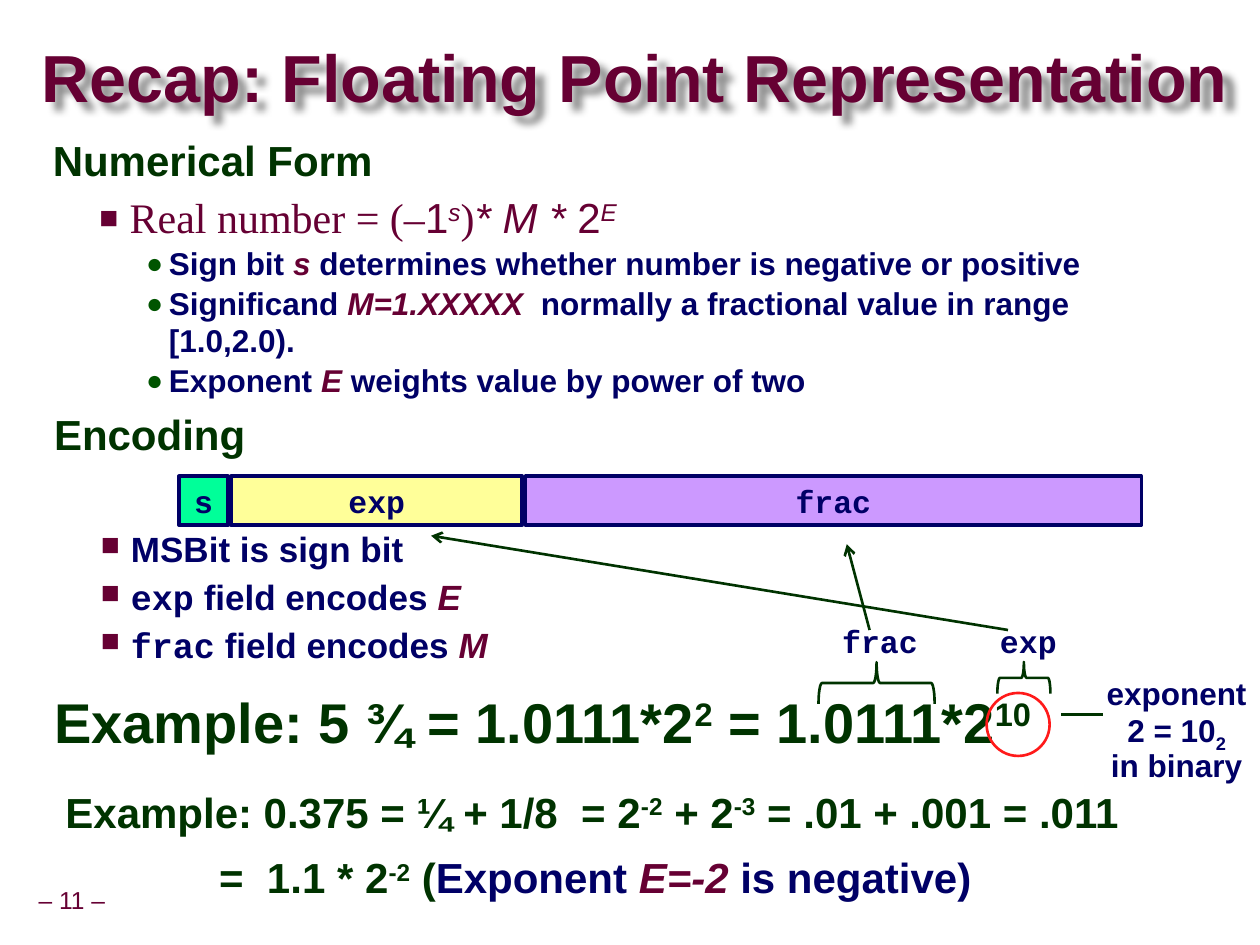
from dataclasses import dataclass
from typing import NamedTuple

from lxml.etree import SubElement
from pptx import Presentation
from pptx.dml.color import RGBColor
from pptx.enum.shapes import MSO_CONNECTOR, MSO_SHAPE
from pptx.enum.text import MSO_ANCHOR, MSO_AUTO_SIZE, PP_ALIGN
from pptx.oxml.ns import qn
from pptx.util import Cm, Pt


@dataclass(frozen=True)
class Theme:
    wine: str = "660033"
    green: str = "003300"
    bullet: str = "005400"
    navy: str = "000066"
    red: str = "FF1A1A"
    mint: str = "00FF99"
    yellow: str = "FFFF99"
    violet: str = "CC99FF"
    sans: str = "Arial"
    serif: str = "Times New Roman"
    mono: str = "Courier New"
    title: int = 38
    example: int = 32
    heading: int = 24
    item: int = 20
    detail: int = 18
    footer: int = 14
    rule: float = 1.5
    border: float = 2


T = Theme()


class Run(NamedTuple):
    text: str
    color: str
    font: str = T.sans
    italic: bool = False
    base: int = 0
    bold: bool = True


class Level(NamedTuple):
    depth: int = 0
    margin: float = 0
    hang: float = 0
    spacing: float = 1
    bullet: str = ""
    color: str = ""
    percent: int = 100
    align: PP_ALIGN = PP_ALIGN.LEFT


class Para(NamedTuple):
    level: Level
    size: int
    before: float
    runs: list[Run]


class Field(NamedTuple):
    name: str
    width: float
    fill: str


class Part(NamedTuple):
    name: str
    label_x: float
    label_w: float
    brace: tuple[float, float, float, float]
    arrow: tuple[float, float, float, float]


HEAD = Level(0, 0.61, 0.61, 0.85)
DEEP = Level(0, 3.1, 0, 0.85)
ITEM = Level(1, 1.55, 0.61, 0.9, "■", T.wine, 75)
DETAIL = Level(2, 2.34, 0.46, 0.97, "●", T.bullet, 90)
CENTER = Level(spacing=0.9, align=PP_ALIGN.CENTER)
FIELD = Level(align=PP_ALIGN.CENTER)
TITLE = Level(spacing=0.87)


def rgb(color: str) -> RGBColor:
    return RGBColor.from_string(color)


def navy(text: str, font: str = T.sans) -> Run:
    return Run(text, T.navy, font)


def green(text: str, base: int = 0) -> Run:
    return Run(text, T.green, base=base)


def var(text: str) -> Run:
    return Run(text, T.wine, italic=True)


def formula(text: str, font: str = T.sans, italic: bool = False, base: int = 0) -> Run:
    return Run(text, T.wine, font, italic, base, False)


def write(tf, paras: list[Para], wrap: bool = True, anchor=MSO_ANCHOR.TOP) -> None:
    tf.auto_size, tf.word_wrap, tf.vertical_anchor = MSO_AUTO_SIZE.NONE, wrap, anchor
    for i, para in enumerate(paras):
        p = tf.add_paragraph() if i else tf.paragraphs[0]
        lv = para.level
        p.level, p.alignment = lv.depth, lv.align
        p.line_spacing, p.space_before = lv.spacing, Pt(para.before)
        pPr = p._p.get_or_add_pPr()
        pPr.set("marL", str(Cm(lv.margin)))
        pPr.set("indent", str(-Cm(lv.hang)))
        if lv.bullet:
            SubElement(SubElement(pPr, qn("a:buClr")), qn("a:srgbClr"), val=lv.color)
            SubElement(pPr, qn("a:buSzPct"), val=str(lv.percent * 1000))
            SubElement(pPr, qn("a:buChar"), char=lv.bullet)
        else:
            SubElement(pPr, qn("a:buNone"))
        for run in para.runs:
            r = p.add_run()
            r.text = run.text
            r.font.name, r.font.size = run.font, Pt(para.size)
            r.font.bold, r.font.italic = run.bold, run.italic
            r.font.color.rgb = rgb(run.color)
            if run.base:
                r._r.get_or_add_rPr().set("baseline", str(run.base * 1000))


def place(sp, x: float, y: float, w: float, h: float) -> None:
    sp.left, sp.top, sp.width, sp.height = Cm(x), Cm(y), Cm(w), Cm(h)


def text(s, x, y, w, h, paras: list[Para], wrap: bool = True, anchor=MSO_ANCHOR.TOP) -> None:
    write(s.shapes.add_textbox(Cm(x), Cm(y), Cm(w), Cm(h)).text_frame, paras, wrap, anchor)


def shape(s, kind, x, y, w, h, line: str, width: float, fill: str = ""):
    sp = s.shapes.add_shape(kind, Cm(x), Cm(y), Cm(w), Cm(h))
    sp.shadow.inherit = False
    sp.line.color.rgb, sp.line.width = rgb(line), Pt(width)
    if fill:
        sp.fill.solid()
        sp.fill.fore_color.rgb = rgb(fill)
    else:
        sp.fill.background()
    return sp


def line(s, x1: float, y1: float, x2: float, y2: float, arrow: bool = False) -> None:
    c = s.shapes.add_connector(MSO_CONNECTOR.STRAIGHT, Cm(x1), Cm(y1), Cm(x2), Cm(y2))
    c.line.color.rgb, c.line.width = rgb(T.green), Pt(T.rule)
    if arrow:
        SubElement(c.line._get_or_add_ln(), qn("a:tailEnd"), type="arrow")
    SubElement(c._element.spPr, qn("a:effectLst"))


def cast_shadow(sp) -> None:
    effects = SubElement(sp._element.spPr, qn("a:effectLst"))
    shadow = SubElement(effects, qn("a:outerShdw"), blurRad="50800", dist="76200",
                        dir="2700000", algn="tl", rotWithShape="0")
    color = SubElement(shadow, qn("a:srgbClr"), val="000000")
    SubElement(color, qn("a:alpha"), val="43000")


def main() -> None:
    prs = Presentation()
    prs.slide_width, prs.slide_height = Cm(25.4), Cm(19.05)
    s = prs.slides.add_slide(prs.slide_layouts[1])

    title, body = s.shapes.title, s.placeholders[1]
    place(title, 0.84, 0.84, 24.13, 1.6)
    tf = title.text_frame
    tf.margin_left = tf.margin_right = tf.margin_top = tf.margin_bottom = 0
    write(tf, [Para(TITLE, T.title, 0, [Run("Recap: Floating Point Representation", T.wine)])],
          anchor=MSO_ANCHOR.MIDDLE)
    cast_shadow(title)

    place(body, 0.81, 2.74, 23.09, 5.72)
    write(body.text_frame, [
        Para(HEAD, T.heading, 0, [green("Numerical Form")]),
        Para(ITEM, T.heading, 7, [
            formula("Real number = (–", T.serif), formula("1"), formula("s", italic=True, base=30),
            formula(")", T.serif), formula("* M * ", italic=True), formula("2"),
            formula("E", italic=True, base=30)]),
        Para(DETAIL, T.detail, 2, [navy("Sign bit "), var("s"), navy(
            " determines whether number is negative or positive")]),
        Para(DETAIL, T.detail, 2, [navy("Significand "), var("M=1.XXXXX  "), navy(
            "normally a fractional value in range [1.0,2.0).")]),
        Para(DETAIL, T.detail, 2, [navy("Exponent "), var("E"), navy(
            " weights value by power of two")]),
    ])

    x, gap = 3.61, 0.06
    for f in (Field("s", 0.99, T.mint), Field("exp", 5.87, T.yellow),
              Field("frac", 12.42, T.violet)):
        sp = shape(s, MSO_SHAPE.RECTANGLE, x, 9.6, f.width, 0.99, T.navy, T.border, f.fill)
        write(sp.text_frame, [Para(FIELD, T.detail, 0, [navy(f.name, T.mono)])],
              False, MSO_ANCHOR.MIDDLE)
        x += f.width + gap

    text(s, 0.84, 8.26, 23.7, 10.69, [
        Para(HEAD, T.heading, 0, [green("Encoding")]),
        Para(ITEM, T.item, 42, [navy("MSBit is sign bit")]),
        Para(ITEM, T.item, 5.8, [navy("exp", T.mono), navy(" field encodes "), var("E")]),
        Para(ITEM, T.item, 5.8, [navy("frac", T.mono), navy(" field encodes "), var("M")]),
        Para(HEAD, T.example, 18, [green("Example: 5 ¾ = 1.0111*2"), green("2", 30),
                                   green(" = 1.0111*2"), green("10", 30)]),
    ])

    shape(s, MSO_SHAPE.OVAL, 19.89, 13.97, 1.27, 1.27, T.red, T.rule)
    line(s, 21.39, 14.4, 22.23, 14.4)
    note = [[navy("exponent")], [navy("2 = 10"), Run("2", T.navy, base=-25)], [navy("in binary")]]
    text(s, 22.02, 13.54, 3.4, 2.34, [Para(CENTER, T.detail, 0, runs) for runs in note], False)

    for part in (Part("frac", 16.71, 2.06, (17.25, 12.6, 0.84, 2.34), (17.53, 12.7, 17.07, 10.97)),
                 Part("exp", 19.89, 1.68, (20.32, 13.13, 0.64, 1.07), (20.32, 12.7, 8.69, 10.8))):
        shape(s, MSO_SHAPE.LEFT_BRACE, *part.brace, T.green, T.rule).rotation = 90
        text(s, part.label_x, 12.5, part.label_w, 0.97,
             [Para(CENTER, T.detail, 0, [navy(part.name, T.mono)])], False)
        line(s, *part.arrow, arrow=True)

    text(s, 1.07, 15.88, 23.09, 2.34, [
        Para(HEAD, T.heading, 0, [green("Example: 0.375 = ¼ + 1/8  = 2"), green("-2", 30),
                                  green(" + 2"), green("-3", 30), green(" = .01 + .001 = .011")]),
        Para(DEEP, T.heading, 13, [green("=  1.1 * 2"), green("-2", 30), green(" ("),
                                   navy("Exponent "), var("E=-2"), navy(" is negative)")]),
    ])
    text(s, 0.61, 17.78, 1.68, 0.79, [Para(CENTER, T.footer, 0, [formula("– 11 –")])],
         False, MSO_ANCHOR.MIDDLE)
    prs.save("out.pptx")


if __name__ == "__main__":
    main()
